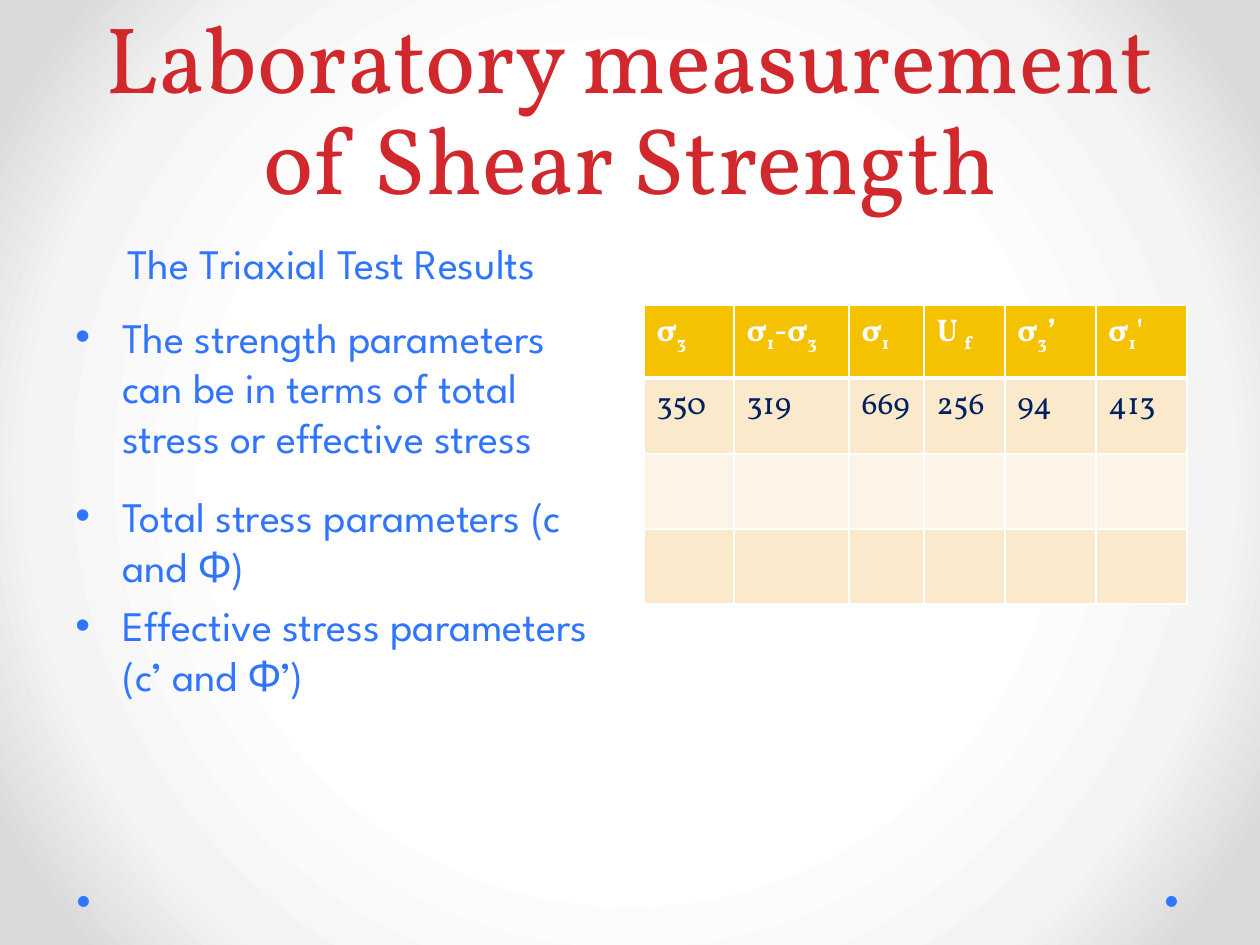
from lxml import etree
from pptx import Presentation
from pptx.dml.color import RGBColor
from pptx.enum.shapes import MSO_SHAPE as Kind
from pptx.enum.text import MSO_ANCHOR as Anchor, PP_ALIGN as Align
from pptx.oxml import parse_xml
from pptx.oxml.ns import nsdecls, qn
from pptx.util import Pt

# Content
TITLE = "Laboratory measurement of Shear Strength"
HEAD = "The Triaxial Test Results"
POINTS = [  # text, space before in pt
    ("The strength parameters can be in terms of total stress or effective stress", 0),
    ("Total stress parameters (c and Φ)", 16),
    ("Effective stress parameters (c’ and Φ’)", 4.8),
]
# Underscores switch subscript on and off
ROWS = [
    ["σ_3", "σ_1_-σ_3", "σ_1", "U _f", "σ_3_’", "σ_1_'"],
    ["350", "319", "669", "256", "94", "413"],
    [""] * 6,
    [""] * 6,
]
FILLS = ["F5C201", "FBE9CC", "FDF4E7", "FBE9CC"]
WIDTHS = [90, 115, 75, 81, 91, 91]
HEIGHTS = [73, 76, 75, 75]
STOPS = [(50, "FFFFFF"), (76, "F4F4F4"), (92, "DADADA")]
SERIF, SANS = "Vollkorn", "League Spartan"
RED, BLUE, NAVY, WHITE = "D1282E", "3075FF", "002060", "FFFFFF"


def px(n):
    return n * 914400 // 126


def rgb(code):
    return RGBColor.from_string(code)


def write(para, text, size=24, font=SANS, color=BLUE, bold=False,
          align=Align.LEFT, lead=None, before=0, bullet=False):
    props = para._p.get_or_add_pPr()
    if bullet:
        props.set("marL", str(px(47)))
        props.set("indent", str(-px(47)))
        etree.SubElement(props, qn("a:buFont")).set("typeface", "Arial")
        etree.SubElement(props, qn("a:buChar")).set("char", "•")
    para.alignment = align
    para.space_before = Pt(before)
    if lead:
        para.line_spacing = Pt(lead)
    for i, part in enumerate(text.split("_")):
        run = para.add_run()
        run.text = part
        face = run.font
        face.size, face.name, face.bold = Pt(size), font, bold
        face.color.rgb = rgb(color)
        if i % 2:
            run._r.get_or_add_rPr().set("baseline", "-25000")


def box(slide, x, y, w, h, anchor=Anchor.TOP):
    frame = slide.shapes.add_textbox(px(x), px(y), px(w), px(h)).text_frame
    frame.word_wrap = True
    frame.vertical_anchor = anchor
    return frame


def edge(cell, bottom):
    props = cell._tc.get_or_add_tcPr()
    for i, side in enumerate("LRTB"):
        wide = Pt(bottom if side == "B" else 1)
        props.insert(i, parse_xml(
            f'<a:ln{side} {nsdecls("a")} w="{wide}"><a:solidFill>'
            f'<a:srgbClr val="{WHITE}"/></a:solidFill></a:ln{side}>'))


def paint(slide):
    stops = "".join(f'<a:gs pos="{pos * 1000}"><a:srgbClr val="{code}"/></a:gs>'
                    for pos, code in STOPS)
    slide._element.cSld.insert(0, parse_xml(
        f'<p:bg {nsdecls("p", "a")}><p:bgPr><a:gradFill rotWithShape="1">'
        f'<a:gsLst>{stops}</a:gsLst><a:path path="circle">'
        '<a:fillToRect l="50000" t="50000" r="50000" b="50000"/></a:path>'
        '</a:gradFill><a:effectLst/></p:bgPr></p:bg>'))


def main():
    deck = Presentation()
    deck.slide_width, deck.slide_height = px(1260), px(945)
    slide = deck.slides.add_slide(deck.slide_layouts[6])
    paint(slide)

    # Corner dots
    for x in (1166, 78):
        dot = slide.shapes.add_shape(Kind.OVAL, px(x), px(896), px(11), px(11))
        dot.shadow.inherit = False
        dot.fill.solid()
        dot.fill.fore_color.rgb = rgb(BLUE)
        dot.line.fill.background()

    # Title and heading
    write(box(slide, 63, 0, 1134, 220, Anchor.BOTTOM).paragraphs[0], TITLE,
          size=54, font=SERIF, color=RED, align=Align.CENTER, lead=58)
    write(box(slide, 53, 210, 557, 84, Anchor.BOTTOM).paragraphs[0], HEAD,
          align=Align.CENTER)

    # Bullet points
    frame = box(slide, 63, 305, 557, 539)
    for i, (text, gap) in enumerate(POINTS):
        para = frame.add_paragraph() if i else frame.paragraphs[0]
        write(para, text, before=gap, bullet=True)

    # Results table
    table = slide.shapes.add_table(
        len(ROWS), len(WIDTHS), px(644), px(305),
        px(sum(WIDTHS)), px(sum(HEIGHTS))).table
    for col, w in zip(table.columns, WIDTHS):
        col.width = px(w)
    for r, row in enumerate(ROWS):
        table.rows[r].height = px(HEIGHTS[r])
        for c, text in enumerate(row):
            cell = table.cell(r, c)
            cell.fill.solid()
            cell.fill.fore_color.rgb = rgb(FILLS[r])
            edge(cell, 1 if r else 3)
            if text:
                write(cell.text_frame.paragraphs[0], text, size=18, font=SERIF,
                      color=NAVY if r else WHITE, bold=r == 0)

    deck.save("out.pptx")


if __name__ == "__main__":
    main()
